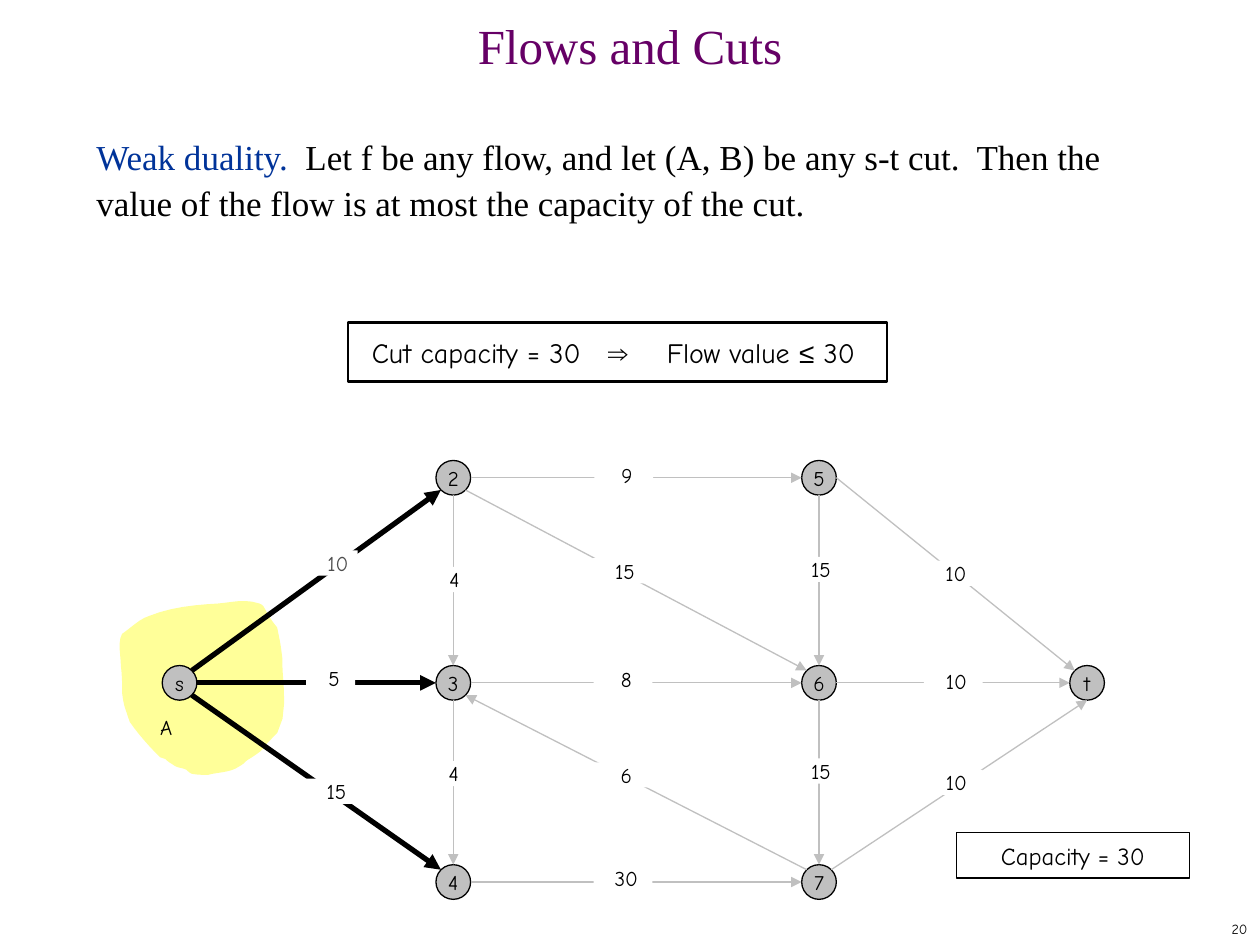
from lxml import etree
from pptx import Presentation
from pptx.dml.color import RGBColor
from pptx.enum.shapes import MSO_CONNECTOR, MSO_SHAPE
from pptx.enum.text import MSO_ANCHOR, MSO_AUTO_SIZE, PP_ALIGN
from pptx.oxml.ns import qn
from pptx.util import Pt

LEFT, CENTER, RIGHT = PP_ALIGN.LEFT, PP_ALIGN.CENTER, PP_ALIGN.RIGHT
TOP, MIDDLE = MSO_ANCHOR.TOP, MSO_ANCHOR.MIDDLE
NO_FIT = MSO_AUTO_SIZE.NONE
RECT, OVAL = MSO_SHAPE.RECTANGLE, MSO_SHAPE.OVAL
STRAIGHT = MSO_CONNECTOR.STRAIGHT

THEME = {
    "serif": "Times New Roman", "hand": "Comic Neue", "symbol": "Arial",
    "title": "660066", "term": "003399", "ink": "000000", "muted": "4D4D4D",
    "gray": "C0C0C0", "paper": "FFFFFF", "cut": "FFFF99",
    "title_size": 28, "body_size": 20, "result_size": 16,
    "capacity_size": 14, "label_size": 12, "number_size": 8,
}

# Content: runs are (text, font, size, colour)
TITLE = [("Flows and Cuts", "serif", "title_size", "title")]
STATEMENT = [
    ("Weak duality.", "serif", "body_size", "term"),
    ("  Let f be any flow, and let (A, B) be any s-t cut.  Then the value of "
     "the flow is at most the capacity of the cut.", "serif", "body_size", "ink"),
]
RESULT = [
    ("Cut capacity = 30\t", "hand", "result_size", "ink"),
    ("⇒", "symbol", "result_size", "ink"),
    ("\tFlow value ", "hand", "result_size", "ink"),
    ("≤", "symbol", "result_size", "ink"),
    (" 30", "hand", "result_size", "ink"),
]
RESULT_TABS = (134.9, 168.6)
CAPACITY = [("Capacity = 30", "hand", "capacity_size", "ink")]
PAGE_NUMBER = [("20", "hand", "number_size", "ink")]

# Network: node -> (column, row)
COLUMNS = (102.6, 259, 468, 621.2)
ROWS = (273, 390.2, 504)
NODE_SIZE = 19.8
NODES = {"s": (0, 1), "2": (1, 0), "3": (1, 1), "4": (1, 2),
         "5": (2, 0), "6": (2, 1), "7": (2, 2), "t": (3, 1)}
DIAGONAL = 0.71
SIDES = {"N": (0, -1), "S": (0, 1), "E": (1, 0), "W": (-1, 0),
         "NE": (DIAGONAL, -DIAGONAL), "NW": (-DIAGONAL, -DIAGONAL),
         "SE": (DIAGONAL, DIAGONAL), "SW": (-DIAGONAL, DIAGONAL)}
# Edges: tail, side, head, side, capacity, label centre, label indent
EDGES = [
    ("s", "NE", "2", "SW", "10", (187.6, 321.8), 11),
    ("s", "E", "3", "W", "5", (189, 387.4), 3.7),
    ("s", "SE", "4", "NW", "15", (190.4, 452.2), 3.7),
    ("2", "E", "5", "W", "9", (356.4, 271.4), 3.7),
    ("2", "SE", "6", "NW", "15", (355.3, 326.2), 3.7),
    ("2", "S", "3", "N", "4", (257.8, 331.2), 3.7),
    ("3", "E", "6", "W", "8", (356, 388.1), 3.7),
    ("3", "S", "4", "N", "4", (257.4, 442.1), 3.7),
    ("4", "E", "7", "W", "30", (356, 501.8), 3.7),
    ("5", "S", "6", "N", "15", (467.3, 325.4), 3.7),
    ("6", "S", "7", "N", "15", (467.3, 440.6), 3.7),
    ("7", "NW", "3", "SE", "6", (356, 442.8), 3.7),
    ("5", "E", "t", "NW", "10", (540.7, 327.6), 11),
    ("6", "E", "t", "W", "10", (544.7, 389.5), 3.7),
    ("7", "NE", "t", "S", "10", (544.7, 447.1), 3.7),
]
LABEL_WIDTH, NARROW_LABEL, LABEL_HEIGHT = 33.6, 28, 14.4

# Cut A: start point, then Bezier segments (two handles and an end)
CUT_START = (69.8, 362.2)
CUT_CURVES = [
    ((74.2, 359.3), (79.9, 353.5), (85, 352.1)),
    ((97.2, 347), (111.6, 345.6), (124.6, 344.9)),
    ((132.5, 344.2), (139.7, 342), (148.3, 344.9)),
    ((151.2, 345.6), (151.9, 349.9), (154.1, 352.8)),
    ((155.5, 355), (158.4, 358.6), (158.4, 358.6)),
    ((160.6, 370.1), (159.8, 364.3), (161.3, 375.8)),
    ((160.6, 388.1), (167.8, 415.4), (152.6, 424.8)),
    ((149.8, 429.1), (148.3, 429.8), (144, 432.7)),
    ((136.8, 437), (143.3, 434.2), (134.6, 439.2)),
    ((130.3, 441.4), (123.8, 441.4), (118.8, 442.8)),
    ((115.9, 442.8), (112.3, 442.8), (109.4, 442.1)),
    ((108, 441.4), (107.3, 440.6), (106.6, 439.9)),
    ((103.7, 438.5), (103, 439.2), (100.1, 437.8)),
    ((90.7, 432), (97.9, 434.9), (91.4, 432.7)),
    ((85, 426.2), (79.2, 419.8), (74.2, 412.6)),
    ((73.4, 410.4), (72.7, 408.2), (72, 406.1)),
    ((70.6, 403.2), (69.8, 396), (69.8, 396)),
    ((69.8, 391), (69.8, 385.9), (69.1, 380.9)),
    ((69.1, 375.1), (67, 366.5), CUT_START),
]
CURVE_STEPS = 6


def color(key):
    return RGBColor.from_string(THEME[key])


def write(shape, runs, align=CENTER, anchor=MIDDLE, insets=(0, 0, 0, 0), wrap=True):
    frame = shape.text_frame
    frame.auto_size, frame.word_wrap, frame.vertical_anchor = NO_FIT, wrap, anchor
    (frame.margin_left, frame.margin_top,
     frame.margin_right, frame.margin_bottom) = map(Pt, insets)
    paragraph = frame.paragraphs[0]
    paragraph.alignment = align
    for text, font, size, ink in runs:
        run = paragraph.add_run()
        run.text = text
        run.font.name, run.font.size = THEME[font], Pt(THEME[size])
        run.font.color.rgb = color(ink)
    return paragraph


def paint(shape, fill=None, line=None, width=0.75):
    shape.shadow.inherit = False
    if fill:
        shape.fill.solid()
        shape.fill.fore_color.rgb = color(fill)
    else:
        shape.fill.background()
    if line:
        shape.line.color.rgb, shape.line.width = color(line), Pt(width)
    else:
        shape.line.fill.background()


def add_box(kind, box, **look):
    shape = slide.shapes.add_shape(kind, *map(Pt, box))
    paint(shape, **look)
    return shape


def add_text(box, runs, **layout):
    return write(slide.shapes.add_textbox(*map(Pt, box)), runs, **layout)


def centre(node):
    column, row = NODES[node]
    return COLUMNS[column], ROWS[row]


def node_point(node, side):
    return [Pt(c + d * NODE_SIZE / 2) for c, d in zip(centre(node), SIDES[side])]


def curve_points(start, curves):
    for one, two, end in curves:
        for step in range(1, CURVE_STEPS + 1):
            t = step / CURVE_STEPS
            u = 1 - t
            yield tuple(Pt(u**3 * a + 3 * u * u * t * b + 3 * u * t * t * c + t**3 * d)
                        for a, b, c, d in zip(start, one, two, end))
        start = end


prs = Presentation()
prs.slide_width, prs.slide_height = Pt(720), Pt(540)
slide = prs.slides.add_slide(prs.slide_layouts[5])

# Title and statement
title = slide.shapes.title
title.left, title.top, title.width, title.height = map(Pt, (0, 12, 720, 36))
write(title, TITLE, insets=(7.2, 3.6, 7.2, 3.6)).line_spacing = 0.7
statement = add_text((48, 72, 618, 426), STATEMENT, align=LEFT, anchor=TOP,
                     insets=(7.2, 3.6, 7.2, 3.6))
statement.line_spacing = Pt(26)

# Result box with its tab stops
result_box = add_box(RECT, (198.7, 184.3, 308.2, 33.8), line="ink", width=1.25)
result = write(result_box, RESULT, align=LEFT, insets=(13.8, 0, 0, 0))
tab_list = etree.SubElement(result._p.get_or_add_pPr(), qn("a:tabLst"))
for stop in RESULT_TABS:
    etree.SubElement(tab_list, qn("a:tab"), pos=str(Pt(stop)), algn="l")

# Cut A
builder = slide.shapes.build_freeform(*map(Pt, CUT_START))
builder.add_line_segments(list(curve_points(CUT_START, CUT_CURVES)))
paint(builder.convert_to_shape(), fill="cut")
add_text((91.4, 408.2, 7.2, 14.4), [("A", "hand", "label_size", "ink")], wrap=False)

# Nodes
for name in NODES:
    x, y = centre(name)
    node = add_box(OVAL, (x - NODE_SIZE / 2, y - NODE_SIZE / 2, NODE_SIZE, NODE_SIZE),
                   fill="gray", line="ink")
    write(node, [(name, "hand", "label_size", "ink")], wrap=False)

# Edges: those that leave the cut are heavy
for tail, tail_side, head, head_side, *_ in EDGES:
    edge = slide.shapes.add_connector(STRAIGHT, *node_point(tail, tail_side),
                                      *node_point(head, head_side))
    crosses_cut = tail == "s"
    edge.line.color.rgb = color("ink" if crosses_cut else "gray")
    edge.line.width = Pt(3 if crosses_cut else 0.75)
    etree.SubElement(edge.line._get_or_add_ln(), qn("a:tailEnd"), type="triangle")
    etree.SubElement(edge._element.spPr, qn("a:effectLst"))

# Edge capacities
for tail, _, head, _, capacity, (x, y), indent in EDGES:
    width = NARROW_LABEL if (tail, head) == ("s", "3") else LABEL_WIDTH
    label = add_box(RECT, (x - width / 2, y - LABEL_HEIGHT / 2, width, LABEL_HEIGHT),
                    fill="paper")
    ink = "muted" if (tail, head) == ("s", "2") else "ink"
    write(label, [(capacity, "hand", "label_size", ink)], insets=(indent, 0, 0, 0))

# Cut capacity and page number
write(add_box(RECT, (546.5, 475.9, 133.2, 25.9), line="ink"), CAPACITY)
add_text((570.2, 522, 149.8, 18), PAGE_NUMBER, align=RIGHT, insets=(7.2, 3.6, 7.2, 3.6))

prs.save("out.pptx")
